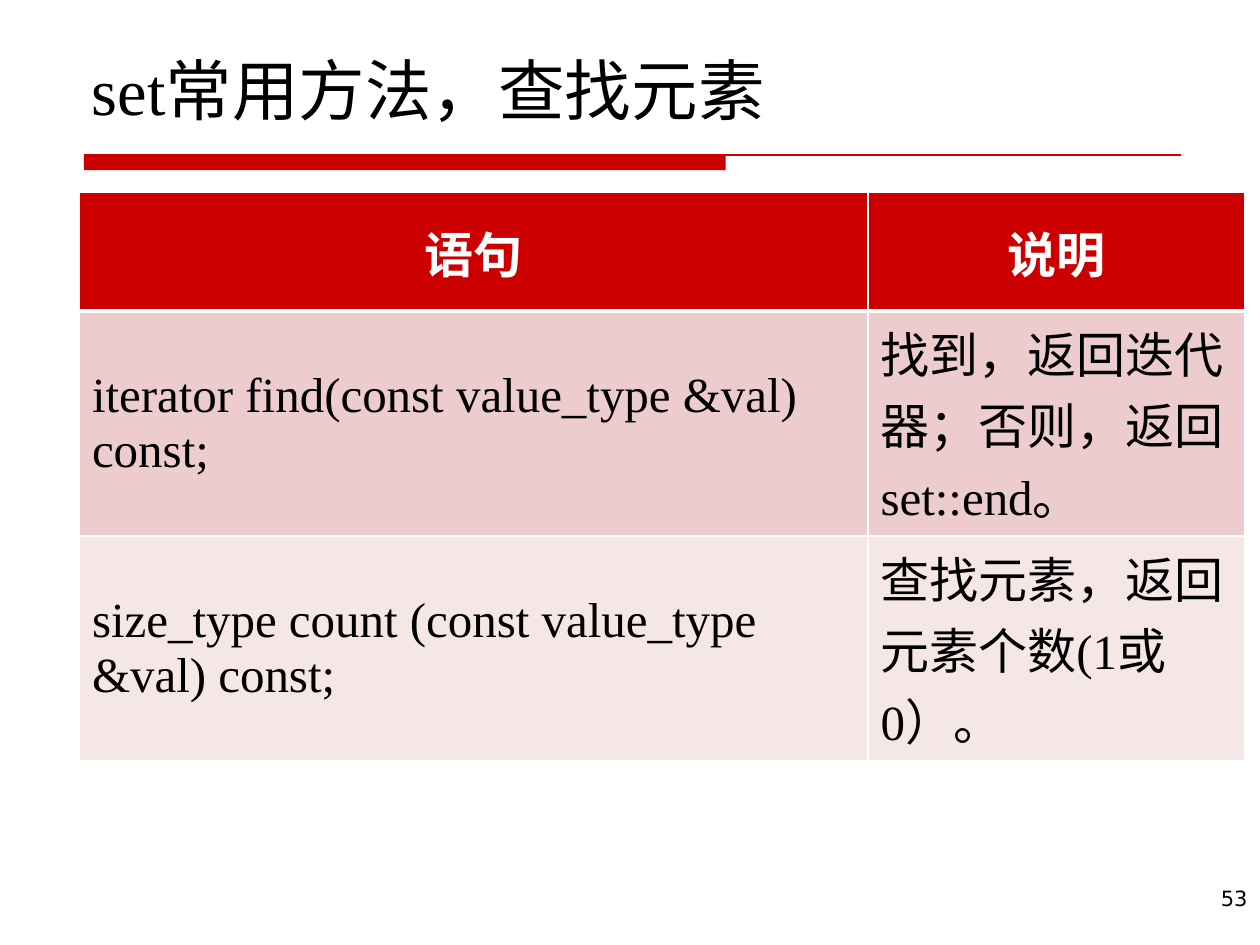
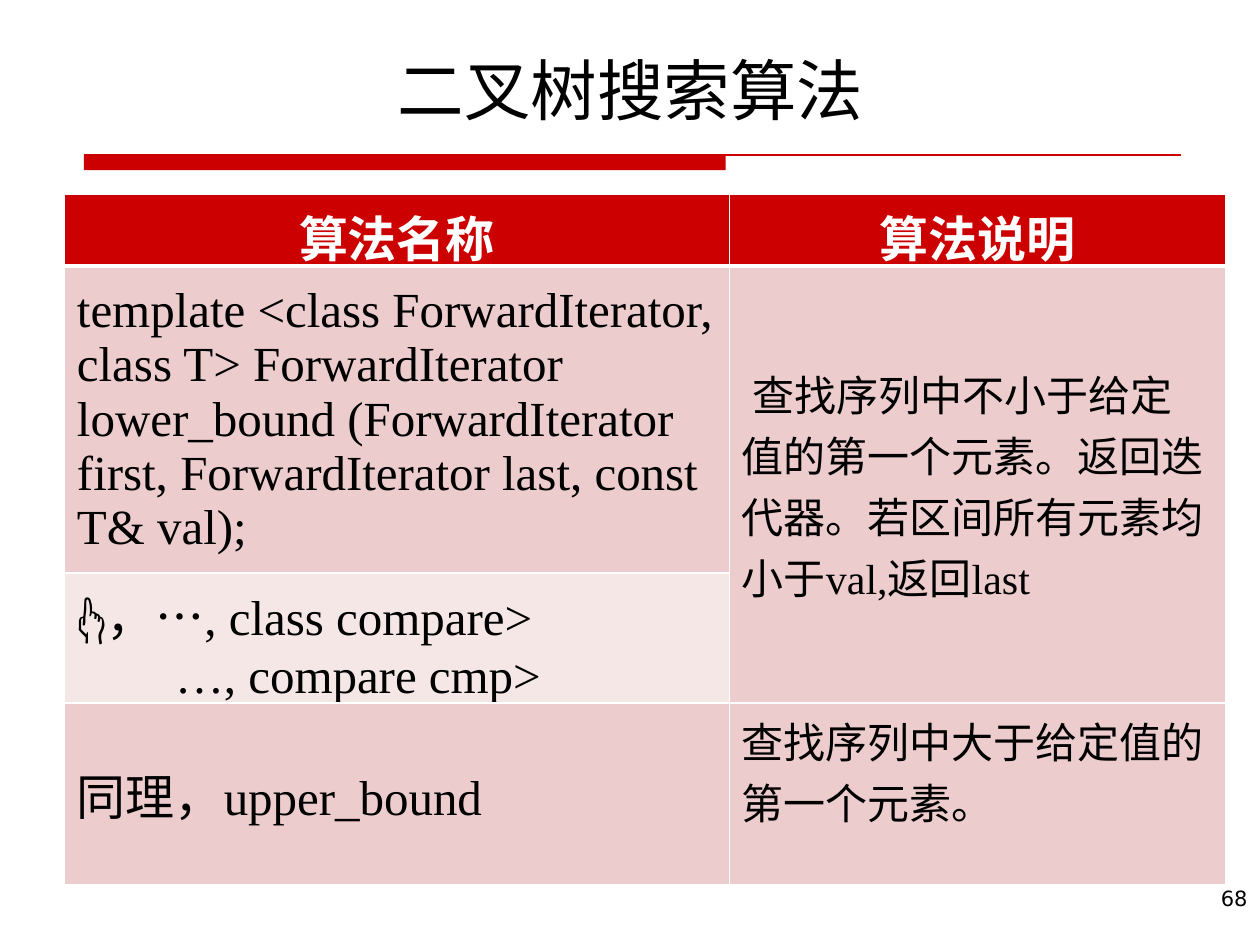
from dataclasses import dataclass
from typing import Optional

from lxml.etree import SubElement
from pptx import Presentation
from pptx.dml.color import RGBColor
from pptx.enum.lang import MSO_LANGUAGE_ID as Language
from pptx.enum.shapes import MSO_CONNECTOR as Connector, MSO_SHAPE as Preset
from pptx.enum.text import MSO_ANCHOR as Anchor, PP_ALIGN as Align
from pptx.oxml.ns import qn
from pptx.util import Pt

COLORS = {
    "red": "CC0000",
    "pink": "ECCCCC",
    "pale": "F6E7E7",
    "white": "FFFFFF",
    "black": "000000",
}
SERIF, SANS = "Times New Roman", "DejaVu Sans"
RULE_LEFT, RULE_TOP, RULE_RIGHT = 48, 88.6, 674.6
BAND_WIDTH, BAND_HEIGHT = 366.7, 8.6


@dataclass(frozen=True)
class Line:
    text: str
    left: float = 0
    first_indent: float = 0


@dataclass(frozen=True)
class CellText:
    lines: tuple[Line, ...]
    size: float = 28
    anchor: Anchor = Anchor.MIDDLE
    row_span: int = 1


@dataclass(frozen=True)
class TableSlide:
    """One slide with a table; rows grow beyond their least heights to fit the text."""
    title: str
    title_align: Align
    number: str
    left: float
    top: float
    columns: tuple[float, ...]
    least_heights: tuple[float, ...]
    headings: tuple[str, ...]
    heading_anchor: Anchor
    rows: tuple[tuple[Optional[CellText], ...], ...]


def text_cell(text: str, **options) -> CellText:
    return CellText((Line(text),), **options)


TABLE_SLIDES = (
    TableSlide(
        "set常用方法，查找元素", Align.LEFT, "53", 45.4, 110,
        (450.6, 215.4), (67.7, 128.5, 128.5), ("语句", "说明"), Anchor.MIDDLE,
        (
            (text_cell("iterator find(const value_type &val) const;"),
             text_cell("找到，返回迭代器；否则，返回set::end。")),
            (text_cell("size_type count (const value_type &val) const;"),
             text_cell("查找元素，返回元素个数(1或0）。")),
        ),
    ),
    TableSlide(
        "二叉树搜索算法", Align.CENTER, "68", 36.8, 111.2,
        (380, 283.5), (24, 50, 50, 103.5), ("算法名称", "算法说明"), Anchor.TOP,
        (
            (text_cell("template <class ForwardIterator, class T> ForwardIterator "
                       "lower_bound (ForwardIterator first, ForwardIterator last, "
                       "const T& val);"),
             CellText((Line("查找序列中不小于给定值的第一个元素。返回迭代器。"
                            "若区间所有元素均小于val,返回last", first_indent=6),),
                      size=24, row_span=2)),
            (CellText((Line("👆，…, class compare>"),
                       Line("…, compare cmp>", left=56))), None),
            (text_cell("同理，upper_bound"),
             text_cell("查找序列中大于给定值的第一个元素。", size=24, anchor=Anchor.TOP)),
        ),
    ),
)


def rgb(name: str) -> RGBColor:
    return RGBColor.from_string(COLORS[name])


def fill_with(target, color: str) -> None:
    target.fill.solid()
    target.fill.fore_color.rgb = rgb(color)


def write(paragraph, text: str, align: Align, color: str, **font_values) -> None:
    paragraph.alignment = align
    run = paragraph.add_run()
    run.text = text
    values = {"name": SERIF, "language_id": Language.SIMPLIFIED_CHINESE, **font_values}
    for attribute, value in values.items():
        setattr(run.font, attribute, value)
    run.font.color.rgb = rgb(color)


def add_text(slide, bounds: tuple[float, ...], text: str, align: Align,
             anchor: Anchor, **font_values) -> None:
    frame = slide.shapes.add_textbox(*map(Pt, bounds)).text_frame
    frame.word_wrap = True
    frame.vertical_anchor = anchor
    write(frame.paragraphs[0], text, align, "black", **font_values)


def add_title_rule(slide) -> None:
    """Draw the thick band and the thin line under the title."""
    band = slide.shapes.add_shape(
        Preset.RECTANGLE, Pt(RULE_LEFT), Pt(RULE_TOP), Pt(BAND_WIDTH), Pt(BAND_HEIGHT))
    band.shadow.inherit = False
    fill_with(band, "red")
    band.line.fill.background()
    line = slide.shapes.add_connector(
        Connector.STRAIGHT, Pt(RULE_LEFT), Pt(RULE_TOP), Pt(RULE_RIGHT), Pt(RULE_TOP))
    line.line.color.rgb = rgb("red")
    line.line.width = Pt(0.75)
    SubElement(line._element.spPr, qn("a:effectLst"))


def set_borders(cell, top: float, bottom: float) -> None:
    properties = cell._tc.get_or_add_tcPr()
    widths = {"lnL": 1, "lnR": 1, "lnT": top, "lnB": bottom}
    for tag, width in widths.items():
        border = SubElement(properties, qn(f"a:{tag}"), w=str(Pt(width)))
        solid = SubElement(border, qn("a:solidFill"))
        SubElement(solid, qn("a:srgbClr"), val=COLORS["white"])


def write_cell(cell, content: CellText) -> None:
    cell.vertical_anchor = content.anchor
    frame = cell.text_frame
    for index, line in enumerate(content.lines):
        paragraph = frame.add_paragraph() if index else frame.paragraphs[0]
        properties = paragraph._p.get_or_add_pPr()
        properties.set("marL", str(Pt(line.left)))
        properties.set("indent", str(Pt(line.first_indent)))
        write(paragraph, line.text, Align.LEFT, "black", size=Pt(content.size))


def add_table(slide, content: TableSlide) -> None:
    heights = content.least_heights
    table = slide.shapes.add_table(
        len(heights), len(content.columns), Pt(content.left), Pt(content.top),
        Pt(sum(content.columns)), Pt(sum(heights))).table
    for column, width in zip(table.columns, content.columns):
        column.width = Pt(width)
    for row_index, (row, height) in enumerate(zip(table.rows, heights)):
        row.height = Pt(height)
        color = "red" if row_index == 0 else ("pale", "pink")[row_index % 2]
        for cell in row.cells:
            set_borders(cell, 3 if row_index == 1 else 1, 3 if row_index == 0 else 1)
            fill_with(cell, color)

    for column_index, heading in enumerate(content.headings):
        cell = table.cell(0, column_index)
        cell.vertical_anchor = content.heading_anchor
        write(cell.text_frame.paragraphs[0], heading, Align.CENTER, "white",
              size=Pt(28), bold=True)
    for row_index, row in enumerate(content.rows, start=1):
        for column_index, cell_text in enumerate(row):
            if cell_text is None:
                continue
            cell = table.cell(row_index, column_index)
            if cell_text.row_span > 1:
                cell.merge(table.cell(row_index + cell_text.row_span - 1, column_index))
            write_cell(cell, cell_text)


def add_table_slide(presentation, content: TableSlide) -> None:
    slide = presentation.slides.add_slide(presentation.slide_layouts[6])
    fill_with(slide.background, "white")
    add_title_rule(slide)
    add_text(slide, (566, 502.5, 154, 37.5), content.number, Align.RIGHT, Anchor.TOP,
             name=SANS, size=Pt(12))
    add_text(slide, (45.4, 23.8, 630, 53.3), content.title, content.title_align,
             Anchor.BOTTOM, size=Pt(38))
    add_table(slide, content)


def main() -> None:
    presentation = Presentation()
    presentation.slide_width, presentation.slide_height = Pt(720), Pt(540)
    for content in TABLE_SLIDES:
        add_table_slide(presentation, content)
    presentation.save("out.pptx")


if __name__ == "__main__":
    main()
